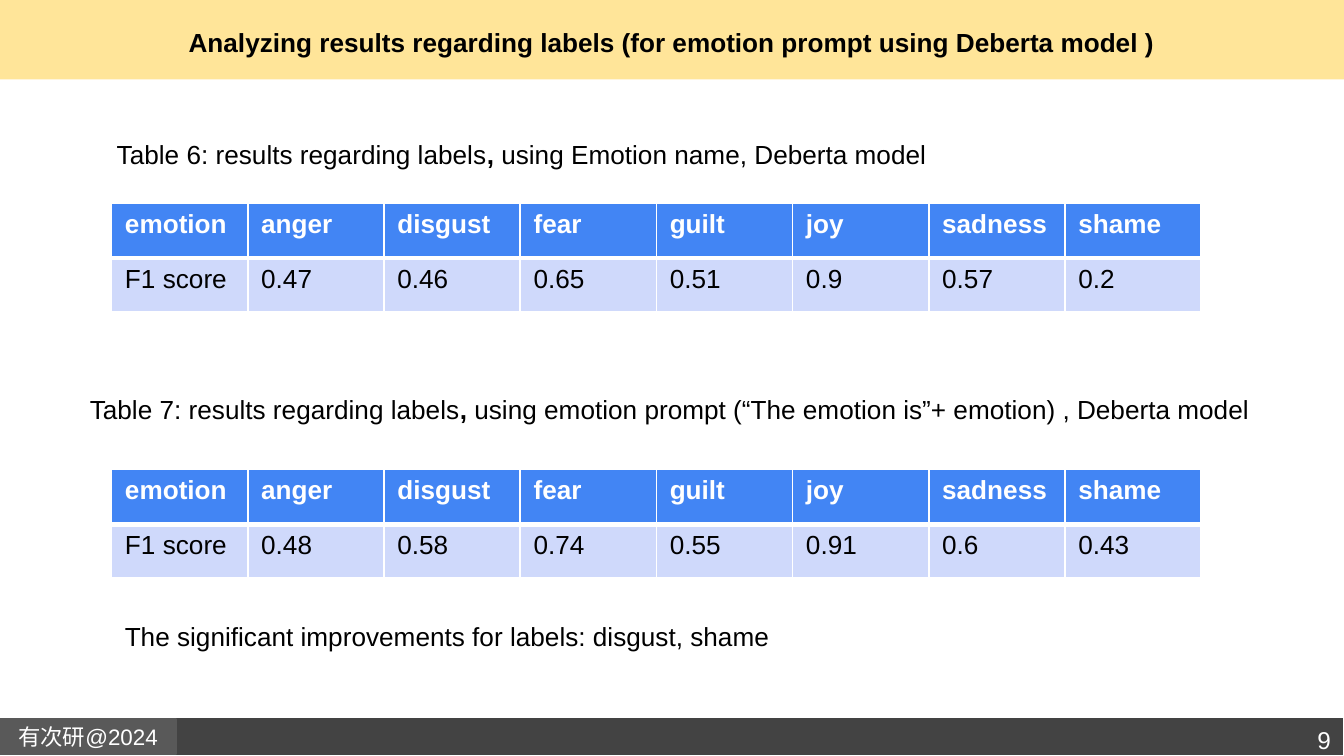
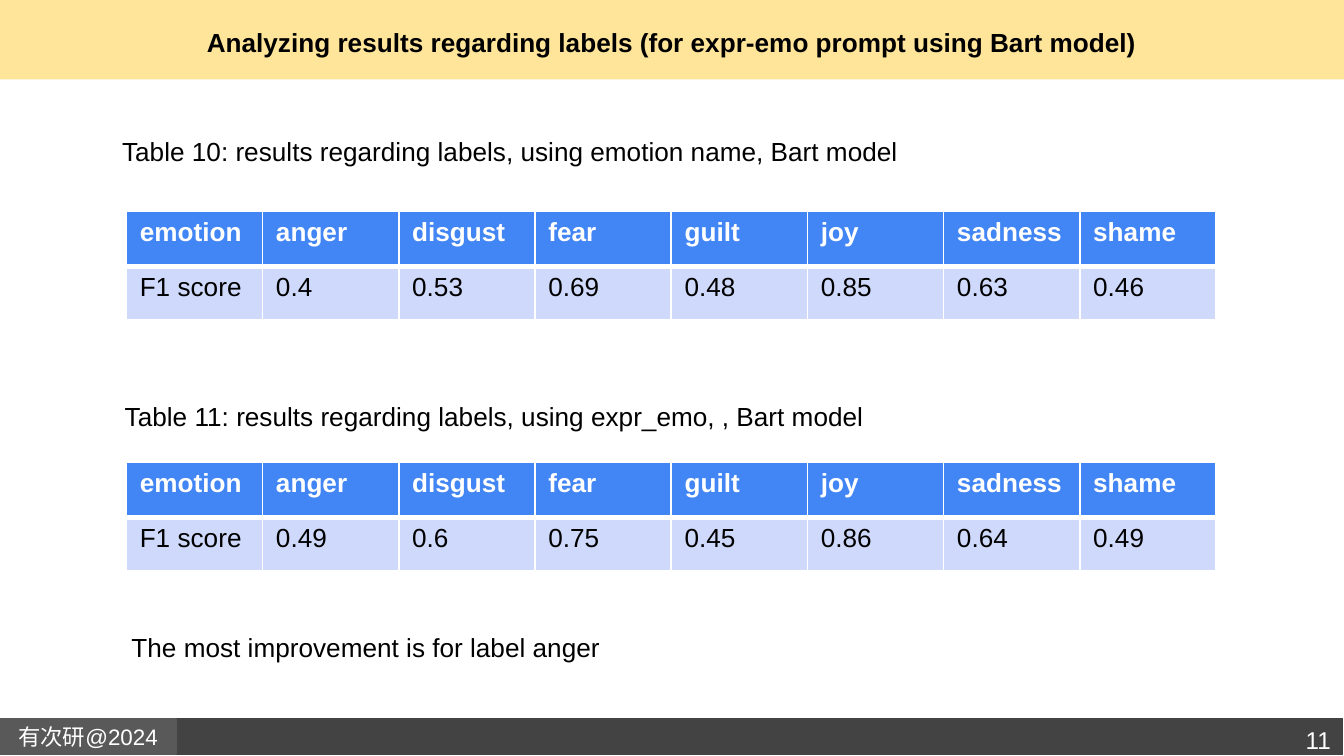
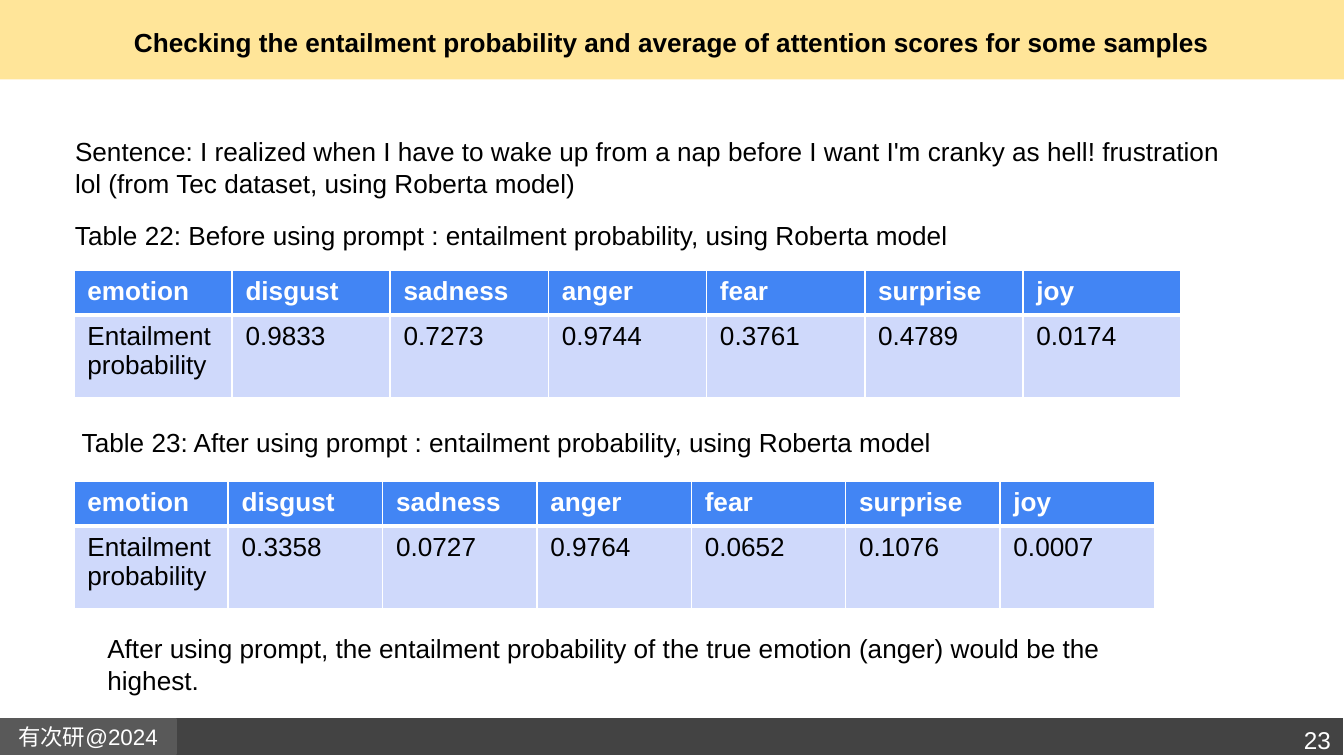
from lxml import etree
from pptx import Presentation
from pptx.dml.color import RGBColor
from pptx.enum import shapes, text
from pptx.oxml.ns import qn
from pptx.util import Inches, Pt

COLORS = {
    "title_band": "FFE599",
    "footer_band": "434343",
    "footer_tag": "595959",
    "header_cell": "4285F4",
    "body_cell": "CFD9FB",
    "black": "000000",
    "white": "FFFFFF",
}
FONT = "Arial"
BODY_SIZE = 14
LINE_HEIGHT = 0.34
TWO_LINES = 0.57
LABELS = ["emotion", "anger", "disgust", "fear", "guilt", "joy", "sadness", "shame"]
SAMPLE_LABELS = ["emotion", "disgust", "sadness", "anger", "fear", "surprise", "joy"]
LABEL_ROWS = [0.41, 0.4]
SAMPLE_ROWS = [0.33, 0.62]


def color(name):
    return RGBColor.from_string(COLORS[name])


def style_span(span, size=BODY_SIZE, tint="black", bold=False):
    span.font.name = FONT
    span.font.size = Pt(size)
    span.font.bold = bold
    span.font.color.rgb = color(tint)


def set_margins(frame, margin):
    frame.margin_left = frame.margin_right = Inches(margin)
    frame.margin_top = frame.margin_bottom = Inches(margin)


def add_band(page, left, top, width, height, fill, line=None):
    band = page.shapes.add_shape(
        shapes.MSO_SHAPE.RECTANGLE, Inches(left), Inches(top), Inches(width), Inches(height))
    band.shadow.inherit = False
    band.fill.solid()
    band.fill.fore_color.rgb = color(fill)
    if line:
        band.line.color.rgb = color(line)
        band.line.width = Pt(0.75)
    else:
        band.line.fill.background()
    return band


def add_box(page, left, top, width, height):
    box = page.shapes.add_textbox(Inches(left), Inches(top), Inches(width), Inches(height))
    box.text_frame.word_wrap = True
    return box


def set_label(shape, words, align, size, tint, bold=False, anchor=text.MSO_ANCHOR.MIDDLE):
    frame = shape.text_frame
    frame.text = words
    frame.vertical_anchor = anchor
    set_margins(frame, 0.1)
    para = frame.paragraphs[0]
    para.alignment = align
    style_span(para.runs[0], size, tint, bold)


def add_page(deck, title, number):
    page = deck.slides.add_slide(deck.slide_layouts[6])
    add_band(page, 0, 0, 10, 0.59, "title_band")
    add_band(page, 0, 5.34, 10, 0.28, "footer_band", "white")
    tag = add_band(page, 0, 5.35, 1.31, 0.26, "footer_tag", "footer_tag")
    set_label(tag, "有次研@2024", text.PP_ALIGN.CENTER, 12, "white")
    title_box = add_box(page, 0.34, 0, 9.32, 0.63)
    set_label(title_box, title, text.PP_ALIGN.CENTER, 14, "black", True)
    number_box = add_box(page, 8.95, 5.3, 1.05, 0.37)
    set_label(number_box, str(number), text.PP_ALIGN.RIGHT, 13, "white",
              anchor=text.MSO_ANCHOR.TOP)
    return page


def add_note(page, left, top, width, *parts, height=LINE_HEIGHT, wrap=False):
    box = add_box(page, left, top, width, height)
    box.text_frame.word_wrap = wrap
    box.text_frame.auto_size = text.MSO_AUTO_SIZE.SHAPE_TO_FIT_TEXT
    para = box.text_frame.paragraphs[0]
    for part in parts:
        span = para.add_run()
        span.text = part
        style_span(span, bold=part == ", ")


def set_borders(cell, top, bottom):
    properties = cell._tc.get_or_add_tcPr()
    for side, width in (("L", 1), ("R", 1), ("T", top), ("B", bottom)):
        line = etree.SubElement(properties, qn(f"a:ln{side}"), w=str(Pt(width)))
        fill = etree.SubElement(line, qn("a:solidFill"))
        etree.SubElement(fill, qn("a:srgbClr"), val=COLORS["white"])


def style_cell(cell, words, is_header):
    cell.text = words
    style_span(cell.text_frame.paragraphs[0].runs[0],
               tint="white" if is_header else "black", bold=is_header)
    set_borders(cell, *((1, 3) if is_header else (3, 1)))
    cell.fill.solid()
    cell.fill.fore_color.rgb = color("header_cell" if is_header else "body_cell")


def add_scores(page, left, top, width, heights, labels, measure, scores):
    rows = [labels, [measure, *scores.split()]]
    table = page.shapes.add_table(
        len(rows), len(labels), Inches(left), Inches(top),
        Inches(width), Inches(sum(heights))).table
    for column in table.columns:
        column.width = Inches(width / len(labels))
    for row_index, row in enumerate(rows):
        table.rows[row_index].height = Inches(heights[row_index])
        for column_index, words in enumerate(row):
            style_cell(table.cell(row_index, column_index), words, row_index == 0)


def add_label_scores(page, left, top, scores):
    add_scores(page, left, top, 8.11, LABEL_ROWS, LABELS, "F1 score", scores)


def add_sample_scores(page, top, width, scores):
    add_scores(page, 0.55, top, width, SAMPLE_ROWS, SAMPLE_LABELS,
               "Entailment probability", scores)


def add_deberta_page(deck):
    page = add_page(
        deck, "Analyzing results regarding labels (for emotion prompt using Deberta model )", 9)
    add_note(page, 0.77, 0.98, 6.55, "Table 6: results regarding labels", ", ",
             "using Emotion name, Deberta model", wrap=True)
    add_label_scores(page, 0.83, 1.51, "0.47 0.46 0.65 0.51 0.9 0.57 0.2")
    add_note(page, 0.57, 2.88, 8.84, "Table 7: results regarding labels", ", ",
             "using emotion prompt (“The emotion is”+ emotion) , Deberta model")
    add_label_scores(page, 0.83, 3.49, "0.48 0.58 0.74 0.55 0.91 0.6 0.43")
    add_note(page, 0.83, 4.57, 6.49,
             "The significant improvements for labels: disgust, shame", wrap=True)


def add_bart_page(deck):
    page = add_page(
        deck, "Analyzing results regarding labels (for expr-emo prompt using Bart model)", 11)
    add_note(page, 0.81, 0.96, 5.98,
             "Table 10: results regarding labels, using emotion name, Bart model")
    add_label_scores(page, 0.94, 1.57, "0.4 0.53 0.69 0.48 0.85 0.63 0.46")
    add_note(page, 0.83, 2.93, 5.76,
             "Table 11: results regarding labels, using expr_emo, , Bart model")
    add_label_scores(page, 0.94, 3.44, "0.49 0.6 0.75 0.45 0.86 0.64 0.49")
    add_note(page, 0.88, 4.65, 3.7, "The most improvement is for label anger")


def add_entailment_page(deck):
    page = add_page(
        deck,
        "Checking the entailment probability and average of attention scores for some samples",
        23)
    add_note(page, 0.46, 0.96, 8.92,
             "Sentence: I realized when I have to wake up from a nap before I want I'm cranky "
             "as hell! frustration lol (from Tec dataset, using Roberta model)",
             height=TWO_LINES, wrap=True)
    add_note(page, 0.46, 1.58, 7.37,
             "Table 22: Before using prompt : entailment probability, using Roberta model",
             wrap=True)
    add_sample_scores(page, 2.01, 8.24, "0.9833 0.7273 0.9744 0.3761 0.4789 0.0174")
    add_note(page, 0.51, 3.12, 6.6,
             "Table 23: After using prompt : entailment probability, using Roberta model")
    add_sample_scores(page, 3.58, 8.04, "0.3358 0.0727 0.9764 0.0652 0.1076 0.0007")
    add_note(page, 0.7, 4.66, 7.89,
             "After using prompt, the entailment probability of the true emotion (anger) "
             "would be the highest.", height=TWO_LINES, wrap=True)


def main():
    deck = Presentation()
    deck.slide_width = Inches(10)
    deck.slide_height = deck.slide_width * 9 // 16
    add_deberta_page(deck)
    add_bart_page(deck)
    add_entailment_page(deck)
    deck.save("out.pptx")


if __name__ == "__main__":
    main()
